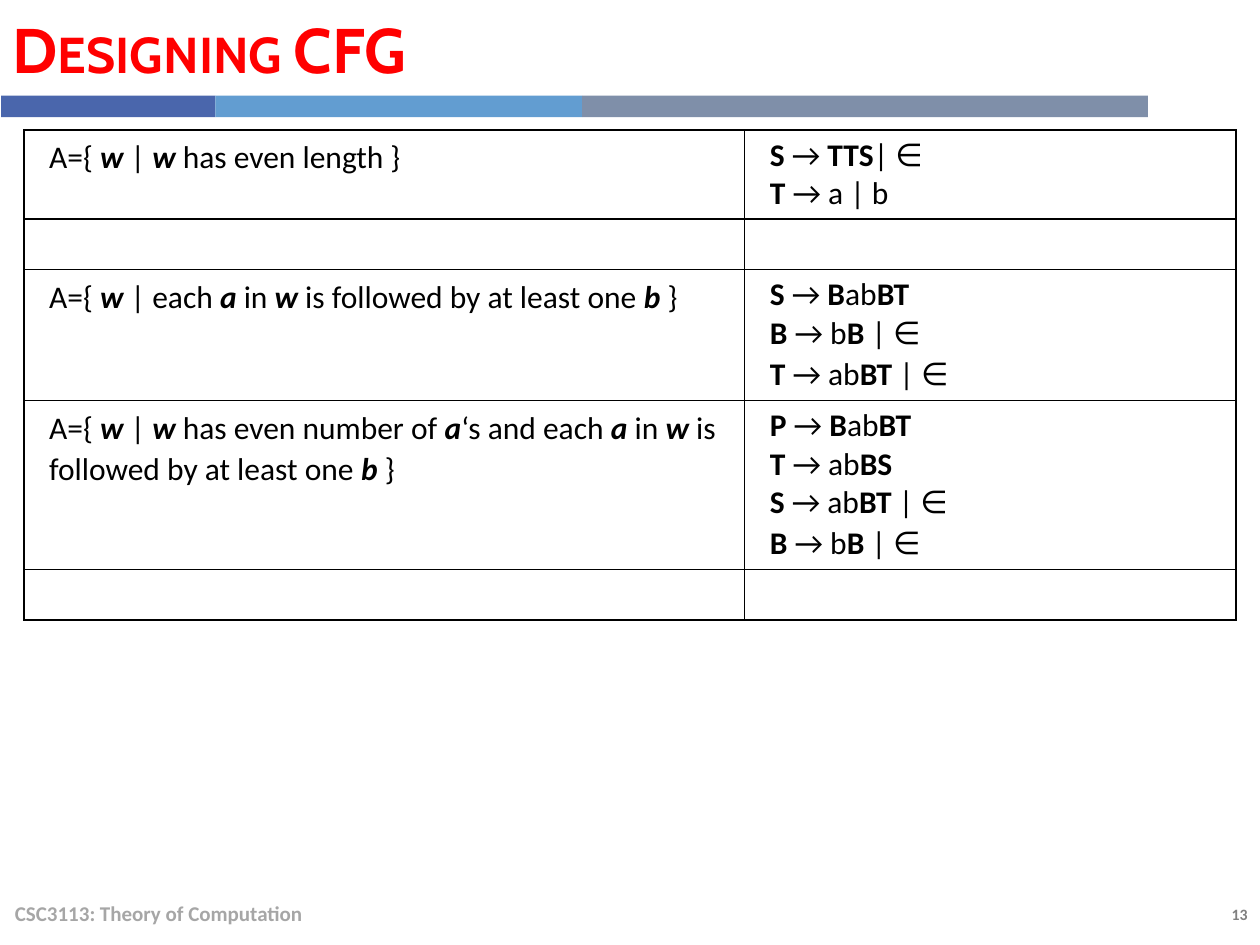
from itertools import groupby
from typing import NamedTuple

from lxml.etree import SubElement
from pptx import Presentation
from pptx.dml.color import RGBColor
from pptx.enum.shapes import MSO_SHAPE as Shape
from pptx.enum.text import MSO_ANCHOR as Anchor, MSO_AUTO_SIZE as AutoSize, PP_ALIGN as Align
from pptx.oxml.ns import qn
from pptx.util import Inches, Pt

BLACK = RGBColor(0x00, 0x00, 0x00)
RED = RGBColor(0xFF, 0x00, 0x00)
GRAY = RGBColor(0x80, 0x80, 0x80)
LIGHT_GRAY = RGBColor(0xA6, 0xA6, 0xA6)
INDIGO = RGBColor(0x4A, 0x66, 0xAC)
SKY = RGBColor(0x62, 0x9D, 0xD1)
SLATE = RGBColor(0x7F, 0x8F, 0xA9)

WIDTH, HEIGHT = 10, 7.5
BAND_TOP, BAND_HEIGHT = 0.76, 0.17
COLUMN_WIDTHS = (5.72, 3.9)
CELL_TEXT = {"name": "Calibri", "size": Pt(18)}


class Band(NamedTuple):
    width: float
    color: RGBColor


class Example(NamedTuple):
    height: float
    language: str = ""  # asterisks enclose bold italic symbols
    grammar: tuple[str, ...] = ()  # one rule a line; capitals are variables


BANDS = (Band(1.7, INDIGO), Band(2.91, SKY), Band(4.49, SLATE))
EXAMPLES = (
    Example(0.71, "A={ *w* | *w* has even length }", ("S → TTS| ∈", "T → a | b")),
    Example(0.4),
    Example(1.04, "A={ *w* | each *a* in *w* is followed by at least one *b* }",
            ("S → BabBT", "B → bB | ∈", "T → abBT | ∈")),
    Example(1.34, "A={ *w* | *w* has even number of *a*‘s and each *a* in *w* is "
            "followed by at least one *b* }",
            ("P → BabBT", "T → abBS", "S → abBT | ∈", "B → bB | ∈")),
    Example(0.4),
)


def set_all(target, values: dict) -> None:
    for name, value in values.items():
        setattr(target, name, value)


def add_run(paragraph, text: str, color: RGBColor, **font_values):
    run = paragraph.add_run()
    run.text = text
    set_all(run.font, font_values)
    run.font.color.rgb = color
    return run


def add_label(slide, box: tuple, text: str, color: RGBColor, size: int, align, anchor) -> None:
    frame = slide.shapes.add_textbox(*map(Inches, box)).text_frame
    set_all(frame, {"word_wrap": True, "vertical_anchor": anchor})
    paragraph = frame.paragraphs[0]
    paragraph.alignment = align
    add_run(paragraph, text, color, name="Calibri", size=Pt(size), bold=True)


def add_bands(slide) -> None:
    left = 0.01
    for band in BANDS:
        shape = slide.shapes.add_shape(
            Shape.RECTANGLE, *map(Inches, (left, BAND_TOP, band.width, BAND_HEIGHT)))
        shape.shadow.inherit = False
        shape.fill.solid()
        shape.fill.fore_color.rgb = band.color
        shape.line.fill.background()
        left += band.width


def add_title(slide, text: str) -> None:
    title = slide.shapes.title
    set_all(title, {"left": 0, "top": 0, "width": Inches(9.1), "height": Inches(BAND_TOP)})
    set_all(title.text_frame, {"vertical_anchor": Anchor.MIDDLE, "word_wrap": True,
                               "auto_size": AutoSize.NONE})
    paragraph = title.text_frame.paragraphs[0]
    set_all(paragraph, {"alignment": Align.LEFT, "space_before": Pt(6)})
    run = add_run(paragraph, text, RED, name="Cabin", size=Pt(36), bold=True)
    run.font._element.set("cap", "small")


def format_cell(cell) -> None:
    set_all(cell, {"margin_left": Inches(0.2), "margin_right": Inches(0.07),
                   "margin_top": Inches(0.05), "margin_bottom": Inches(0.05)})
    properties = cell._tc.get_or_add_tcPr()
    for side in ("lnL", "lnR", "lnT", "lnB"):
        line = SubElement(properties, qn(f"a:{side}"), w=str(Pt(1)))
        fill = SubElement(line, qn("a:solidFill"))
        SubElement(fill, qn("a:srgbClr"), val=str(BLACK))
    cell.fill.background()


def write_language(cell, text: str) -> None:
    paragraph = cell.text_frame.paragraphs[0]
    paragraph.line_spacing = 1.07
    for index, part in enumerate(text.split("*")):
        symbol = index % 2 == 1
        add_run(paragraph, part, BLACK, bold=symbol, italic=symbol, **CELL_TEXT)


def write_grammar(cell, rules: tuple[str, ...]) -> None:
    frame = cell.text_frame
    for index, rule in enumerate(rules):
        paragraph = frame.add_paragraph() if index else frame.paragraphs[0]
        if index == len(rules) - 1 and index > 1:
            paragraph.line_spacing = 1.07
        for variable, letters in groupby(rule, str.isupper):
            add_run(paragraph, "".join(letters), BLACK, bold=variable, **CELL_TEXT)


def add_examples(slide) -> None:
    total_height = sum(example.height for example in EXAMPLES)
    table = slide.shapes.add_table(
        len(EXAMPLES), len(COLUMN_WIDTHS),
        *map(Inches, (0.19, 1.03, sum(COLUMN_WIDTHS), total_height))).table
    set_all(table, {"first_row": False, "horz_banding": False})
    for column, width in zip(table.columns, COLUMN_WIDTHS):
        column.width = Inches(width)
    for row, example in zip(table.rows, EXAMPLES):
        row.height = Inches(example.height)
        for cell in row.cells:
            format_cell(cell)
        if example.language:
            write_language(row.cells[0], example.language)
            write_grammar(row.cells[1], example.grammar)


def main() -> None:
    presentation = Presentation()
    set_all(presentation, {"slide_width": Inches(WIDTH), "slide_height": Inches(HEIGHT)})
    slide = presentation.slides.add_slide(presentation.slide_layouts[5])

    # Page number, colour bands and footer
    add_label(slide, (8.73, 7.13, 1.27, 0.25), "13", GRAY, 9, Align.RIGHT, Anchor.TOP)
    add_bands(slide)
    add_label(slide, (0.02, 7.05, 6.7, 0.4), "CSC3113: Theory of Computation",
              LIGHT_GRAY, 12, Align.LEFT, Anchor.MIDDLE)

    # Title and table of languages with their grammars
    add_title(slide, "Designing CFG")
    add_examples(slide)
    presentation.save("out.pptx")


if __name__ == "__main__":
    main()
